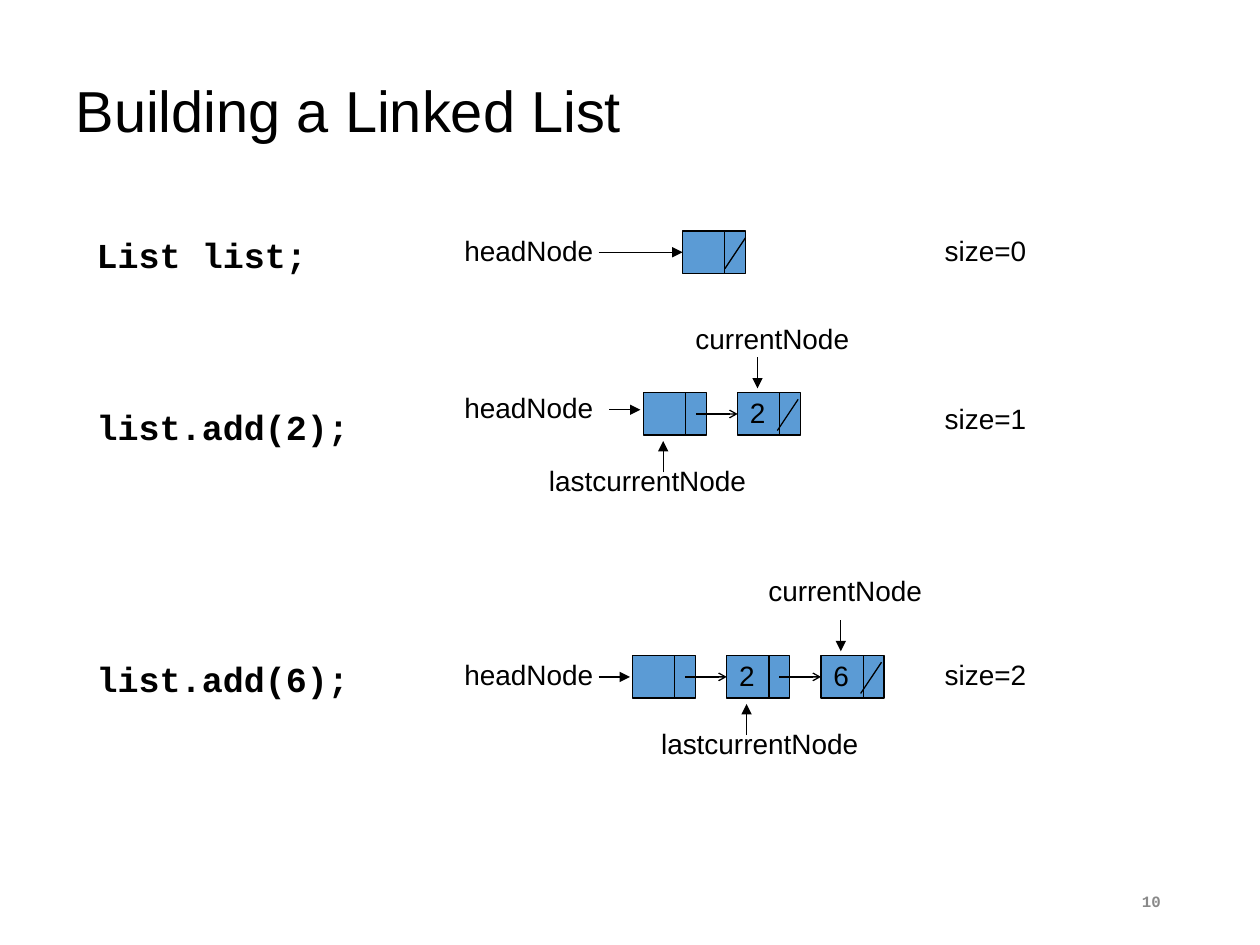
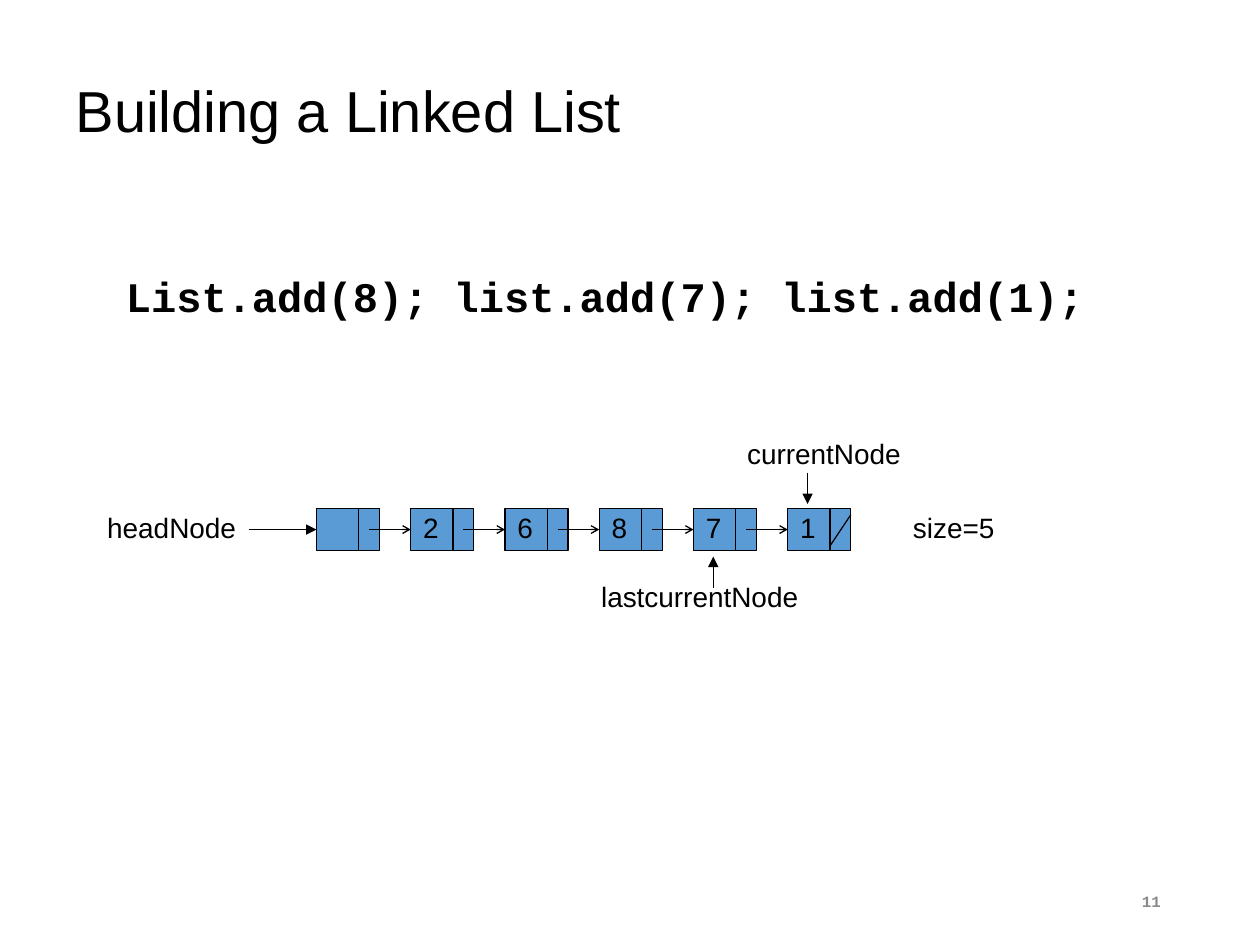
from dataclasses import dataclass

import lxml.etree
import pptx
import pptx.dml.color
import pptx.enum.shapes
import pptx.enum.text
import pptx.oxml.ns
import pptx.util

Cm = pptx.util.Cm
Align = pptx.enum.text.PP_ALIGN
Anchor = pptx.enum.text.MSO_ANCHOR


@dataclass(frozen=True)
class Theme:
    ink: str = "000000"
    fill: str = "5B9BD5"
    gray: str = "898989"
    sans: str = "Arial"
    mono: str = "Courier New"
    title: float = 33
    label: float = 16
    code: float = 20
    wide: float = 24
    page: float = 9
    line: float = 0.75


THEME = Theme()
NODE_W, NODE_H = 1.27, 0.85
MID = NODE_H / 2
STEP = 1.9
SPLIT = 0.85
POINT = 0.4
WIDTHS = {"headNode": 3.08, "currentNode": 3.6, "lastcurrentNode": 4.47}
HEADS = {"triangle": "med", "arrow": "sm"}


def color(code):
    return pptx.dml.color.RGBColor.from_string(code)


def write(frame, text, size, font=THEME.sans, ink=THEME.ink, bold=False, align=Align.LEFT):
    frame.text = text
    para = frame.paragraphs[0]
    para.alignment = align
    for run in para.runs:
        run.font.size = pptx.util.Pt(size)
        run.font.name = font
        run.font.bold = bold
        run.font.color.rgb = color(ink)
    return para


def add_box(slide, x, y, w, h):
    frame = slide.shapes.add_textbox(Cm(x), Cm(y), Cm(w), Cm(h)).text_frame
    frame.word_wrap = True
    return frame


def add_label(slide, text, x, y):
    frame = add_box(slide, x, y, WIDTHS.get(text, 2.13), 0.94)
    frame.margin_left = frame.margin_right = 0
    write(frame, text, THEME.label, align=Align.CENTER)


def add_code(slide, text, y):
    frame = add_box(slide, 1.7, y, 6.5, 1.12)
    write(frame, text, THEME.code, THEME.mono, bold=True)


def add_wire(slide, x1, y1, x2, y2, head=None, goal=None):
    wire = slide.shapes.add_connector(
        pptx.enum.shapes.MSO_CONNECTOR.STRAIGHT, Cm(x1), Cm(y1), Cm(x2), Cm(y2))
    if goal is not None:
        wire.end_connect(goal, 1)
    wire.line.color.rgb = color(THEME.ink)
    wire.line.width = pptx.util.Pt(THEME.line)
    qn = pptx.oxml.ns.qn
    props = wire.element.find(qn("p:spPr"))
    if head:
        size = HEADS[head]
        lxml.etree.SubElement(
            props.find(qn("a:ln")), qn("a:tailEnd"), type=head, w=size, len=size)
    lxml.etree.SubElement(props, qn("a:effectLst"))


def add_node(slide, text, x, y):
    node = slide.shapes.add_shape(
        pptx.enum.shapes.MSO_SHAPE.RECTANGLE, Cm(x), Cm(y), Cm(NODE_W), Cm(NODE_H))
    node.shadow.inherit = False
    node.fill.solid()
    node.fill.fore_color.rgb = color(THEME.fill)
    node.line.color.rgb = color(THEME.ink)
    node.line.width = pptx.util.Pt(THEME.line)
    if text:
        frame = node.text_frame
        frame.vertical_anchor = Anchor.MIDDLE
        frame.margin_left = Cm(0.25)
        frame.margin_right = frame.margin_top = 0
        frame.margin_bottom = Cm(0.07)
        write(frame, text, THEME.label)
    add_wire(slide, x + SPLIT, y, x + SPLIT, y + NODE_H)
    return node


def add_chain(slide, values, x, y, slash=NODE_W):
    spots = [x + STEP * i for i in range(len(values) + 1)]
    nodes = [add_node(slide, text, spot, y) for text, spot in zip(["", *values], spots)]
    for spot, goal in zip(spots, nodes[1:]):
        add_wire(slide, spot + 1.06, y + MID, spot + STEP, y + MID, "arrow", goal)
    end = spots[-1]
    add_wire(slide, end + slash, y + 0.13, end + slash - 0.42, y + 0.76)
    return nodes


def add_marks(slide, count, x, y, now, last):
    end = x + STEP * count + POINT
    add_label(slide, "currentNode", *now)
    add_wire(slide, end, y - 0.72, end, y - 0.09, "triangle")
    add_label(slide, "lastcurrentNode", last, y + 1.31)
    add_wire(slide, end - STEP, y + 1.6, end - STEP, y + 0.97, "triangle")


def add_ends(slide, size, y, head_x, size_x, head_y=-0.08, size_y=-0.08):
    add_label(slide, "headNode", head_x, y + head_y)
    add_label(slide, f"size={size}", size_x, y + size_y)


def add_page(deck, number):
    slide = deck.slides.add_slide(deck.slide_layouts[5])
    title = slide.shapes.title
    title.left, title.top, title.width, title.height = Cm(1.27), Cm(1.02), Cm(22.86), Cm(2.54)
    frame = title.text_frame
    frame.auto_size = pptx.enum.text.MSO_AUTO_SIZE.NONE
    frame.vertical_anchor = Anchor.MIDDLE
    write(frame, "Building a Linked List", THEME.title).line_spacing = 0.9
    foot = add_box(slide, 17.93, 17.65, 5.72, 1.02)
    foot.vertical_anchor = Anchor.MIDDLE
    write(foot, str(number), THEME.page, THEME.mono, THEME.gray, True, Align.RIGHT)
    return slide


def draw_first(deck):
    slide = add_page(deck, 10)
    for text, y in (("List list;", 4.58), ("list.add(2);", 8.05), ("list.add(6);", 13.13)):
        add_code(slide, text, y)

    nodes = add_chain(slide, [], 13.76, 4.66)
    add_ends(slide, 0, 4.66, 9.12, 18.8)
    add_wire(slide, 12.07, 4.66 + MID, 13.76, 4.66 + MID, "triangle", nodes[0])

    add_chain(slide, ["2"], 12.97, 7.92, slash=1.22)
    add_ends(slide, 1, 7.92, 9.12, 18.8, head_y=-0.17, size_y=0.05)
    add_wire(slide, 12.28, 8.26, 12.91, 8.26, "triangle")
    add_marks(slide, 1, 12.97, 7.92, (13.77, 6.35), 10.82)

    add_chain(slide, ["2", "6"], 12.75, 13.22, slash=1.22)
    add_ends(slide, 2, 13.22, 9.12, 18.8)
    add_wire(slide, 12.07, 13.22 + MID, 12.7, 13.22 + MID, "triangle")
    add_marks(slide, 2, 12.75, 13.22, (15.24, 11.43), 13.08)


def draw_second(deck):
    slide = add_page(deck, 11)
    frame = add_box(slide, 1.27, 5.53, 22.86, 1.63)
    frame.margin_left = Cm(1.27)
    para = write(frame, "List.add(8); list.add(7); list.add(1);", THEME.wide, THEME.mono, bold=True)
    para.line_spacing = 0.8

    values = ["2", "6", "8", "7", "1"]
    nodes = add_chain(slide, values, 6.38, 10.25)
    add_ends(slide, 5, 10.25, 1.92, 18.16)
    add_wire(slide, 5.01, 10.25 + MID, 6.38, 10.25 + MID, "triangle", nodes[0])
    add_marks(slide, len(values), 6.38, 10.25, (14.81, 8.68), 11.87)


def main():
    deck = pptx.Presentation()
    deck.slide_width, deck.slide_height = Cm(25.4), Cm(19.05)
    draw_first(deck)
    draw_second(deck)
    deck.save("out.pptx")


if __name__ == "__main__":
    main()
